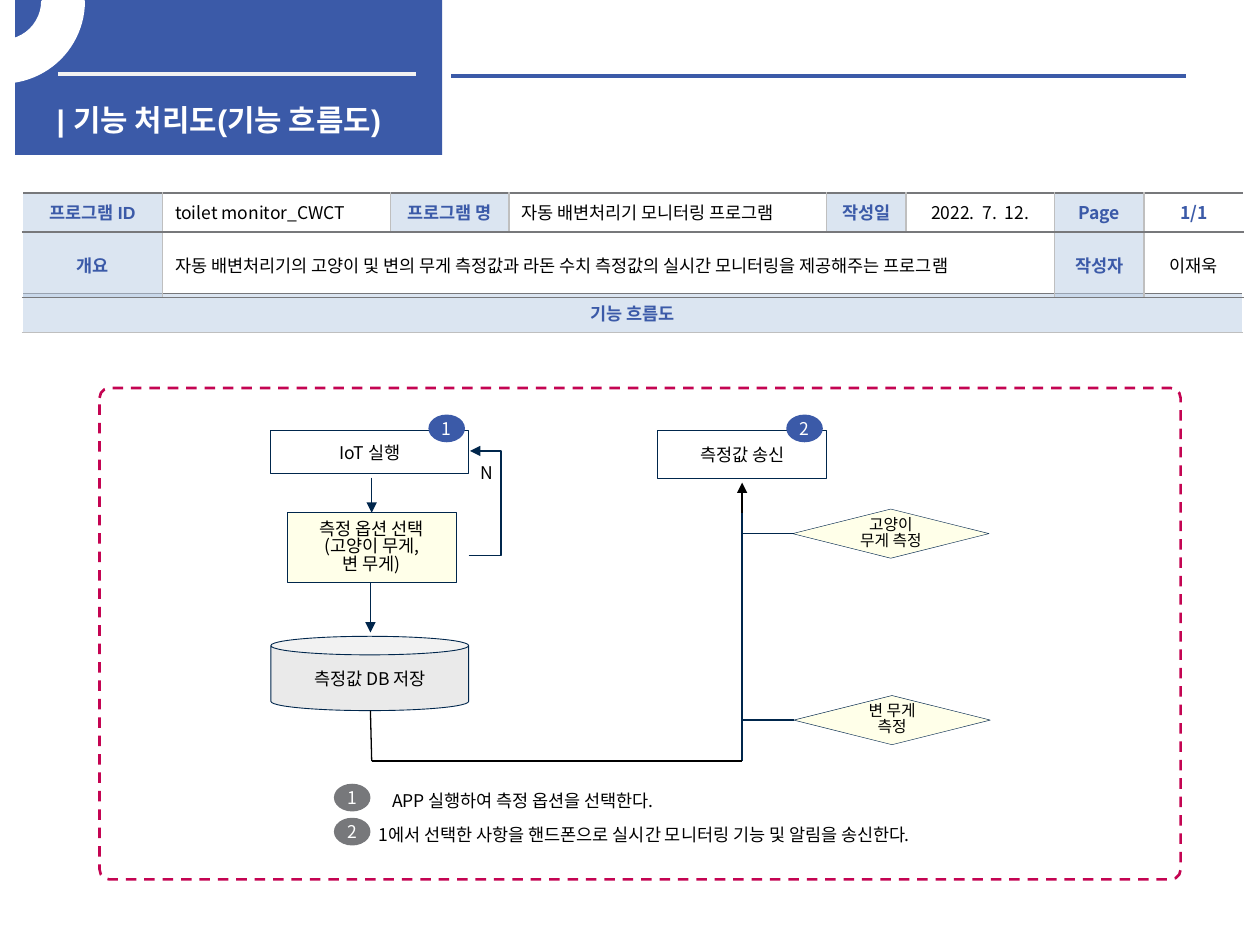
from lxml import etree
from pptx import Presentation
from pptx.dml.color import RGBColor
from pptx.enum.dml import MSO_LINE
from pptx.enum.shapes import MSO_CONNECTOR, MSO_SHAPE
from pptx.enum.text import MSO_ANCHOR, MSO_AUTO_SIZE, PP_ALIGN
from pptx.oxml.ns import qn
from pptx.util import Inches, Pt

RECT, ROUNDED, CAN = MSO_SHAPE.RECTANGLE, MSO_SHAPE.ROUNDED_RECTANGLE, MSO_SHAPE.CAN
DIAMOND, OVAL, ARC = MSO_SHAPE.FLOWCHART_DECISION, MSO_SHAPE.OVAL, MSO_SHAPE.BLOCK_ARC
STRAIGHT, ELBOW = MSO_CONNECTOR.STRAIGHT, MSO_CONNECTOR.ELBOW
LEFT, CENTER = PP_ALIGN.LEFT, PP_ALIGN.CENTER
TOP, MIDDLE = MSO_ANCHOR.TOP, MSO_ANCHOR.MIDDLE
NO_FIT, DASH = MSO_AUTO_SIZE.NONE, MSO_LINE.DASH

BLUE = RGBColor(0x3B, 0x5A, 0xA8)
NAVY = RGBColor(0x00, 0x26, 0x4C)
CRIMSON = RGBColor(0xC4, 0x04, 0x52)
PALE_BLUE = RGBColor(0xB9, 0xCD, 0xE5)
CREAM = RGBColor(0xFF, 0xFF, 0xE9)
LIGHT_GRAY = RGBColor(0xEA, 0xEA, 0xEA)
OFF_WHITE = RGBColor(0xF2, 0xF2, 0xF2)
SILVER = RGBColor(0xBF, 0xBF, 0xBF)
GRAY = RGBColor(0x77, 0x78, 0x7B)
WHITE = RGBColor(0xFF, 0xFF, 0xFF)
BLACK = RGBColor(0, 0, 0)

KOREAN, LATIN = "Noto Sans CJK KR", "Arial"
COLUMNS, ROWS = 100, 75


class FlowSlide:
    def __init__(self, deck):
        self.col = deck.slide_width / COLUMNS
        self.row = deck.slide_height / ROWS
        self.slide = deck.slides.add_slide(deck.slide_layouts[5])
        self.shapes = self.slide.shapes

    def place(self, x, y, width, height):
        return (round(x * self.col), round(y * self.row),
                round(width * self.col), round(height * self.row))

    def fill_text(self, frame, text, size=10, color=BLACK, bold=False, align=CENTER,
                  font=KOREAN, spacing=None):
        frame.text = text
        for paragraph in frame.paragraphs:
            paragraph.alignment = align
            if spacing:
                paragraph.line_spacing = spacing
            for run in paragraph.runs:
                run.font.name, run.font.size, run.font.bold = font, Pt(size), bold
                run.font.color.rgb = color
                etree.SubElement(run.font._element, qn("a:ea"), typeface=KOREAN)

    def title(self, text, box):
        title = self.shapes.title
        title.left, title.top, title.width, title.height = self.place(*box)
        self.shapes._spTree.append(title._element)
        frame = title.text_frame
        frame.word_wrap, frame.auto_size, frame.vertical_anchor = False, NO_FIT, TOP
        self.fill_text(frame, text, 17, WHITE, True, LEFT, LATIN)

    def block(self, kind, box, fill=None, line=None, weight=0.5, text="",
              inset=0.04, wrap=True, adjust=(), **style):
        block = self.shapes.add_shape(kind, *self.place(*box))
        block.shadow.inherit = False
        for index, value in enumerate(adjust):
            block.adjustments[index] = value
        if fill is None:
            block.fill.background()
        else:
            block.fill.solid()
            block.fill.fore_color.rgb = fill
        if line is None:
            block.line.fill.background()
        else:
            block.line.color.rgb, block.line.width = line, Pt(weight)
        if text:
            frame = block.text_frame
            frame.margin_left = frame.margin_right = Inches(inset)
            frame.margin_top = frame.margin_bottom = Inches(0.04)
            frame.word_wrap, frame.vertical_anchor = wrap, MIDDLE
            self.fill_text(frame, text, **style)
        return block

    def badge(self, number, x, y, fill):
        self.block(OVAL, (x, y, 2.9, 2.2), fill, text=number, inset=0.06,
                   wrap=False, color=WHITE)

    def label(self, text, box, **style):
        label = self.shapes.add_textbox(*self.place(*box))
        label.text_frame.word_wrap = False
        self.fill_text(label.text_frame, text, **style)

    def link(self, start, end, color=NAVY, weight=0.75, arrow=False, bend=None):
        link = self.shapes.add_connector(
            ELBOW if bend else STRAIGHT, *self.place(*start, *end))
        link.line.color.rgb, link.line.width = color, Pt(weight)
        properties = link._element.spPr
        if bend:
            guides = properties.find(qn("a:prstGeom")).get_or_add_avLst()
            etree.SubElement(guides, qn("a:gd"), name="adj1", fmla=f"val {bend}")
        if arrow:
            etree.SubElement(link.line._get_or_add_ln(), qn("a:tailEnd"), type="triangle")
        etree.SubElement(properties, qn("a:effectLst"))

    def table(self, x, y, widths, heights):
        frame = self.shapes.add_table(
            len(heights), len(widths), *self.place(x, y, sum(widths), sum(heights)))
        table = frame.table
        table.first_row = table.horz_banding = False
        for column, width in zip(table.columns, widths):
            column.width = round(width * self.col)
        for row, height in zip(table.rows, heights):
            row.height = round(height * self.row)
        return table

    def cell(self, cell, text="", borders=(), tint=None, **style):
        cell.vertical_anchor = MIDDLE
        if tint is None:
            cell.fill.background()
        else:
            cell.fill.solid()
            cell.fill.fore_color.rgb = tint
            for color in cell._tc.tcPr.iter(qn("a:srgbClr")):
                etree.SubElement(color, qn("a:alpha"), val="50000")
        for index, (side, color) in enumerate(zip("LRTB", borders)):
            edge = etree.Element(qn(f"a:ln{side}"), w=str(Pt(1)))
            if color is None:
                etree.SubElement(edge, qn("a:noFill"))
            else:
                paint = etree.SubElement(edge, qn("a:solidFill"))
                etree.SubElement(paint, qn("a:srgbClr"), val=str(color))
            cell._tc.tcPr.insert(index, edge)
        if text:
            self.fill_text(cell.text_frame, text, **style)


def draw_header(page):
    page.block(RECT, (1.2, 0, 33.9, 12.3), BLUE)
    page.link((4.6, 5.9), (33, 5.9), OFF_WHITE, 2.25)
    page.link((35.8, 6), (94.1, 6), BLUE, 2.25)
    page.title("| 기능 처리도(기능 흐름도)", (3.5, 7.6, 30.7, 3.2))
    ring = page.block(ARC, (-6.3, -6.3, 12.9, 12.8), WHITE, WHITE, 2,
                      adjust=(96.95, 0, 0.25))
    ring._element.spPr.find(qn("a:xfrm")).set("flipV", "1")


def draw_section(page):
    section = page.table(1.8, 23.3, [96.8], [3.1, 41.5])
    page.cell(section.cell(0, 0), "기능 흐름도", (WHITE, WHITE, GRAY, SILVER),
              PALE_BLUE, color=BLUE, bold=True)
    page.cell(section.cell(1, 0), borders=(WHITE, WHITE, SILVER, None))


def draw_program_info(page):
    heading = dict(tint=PALE_BLUE, color=BLUE, bold=True)
    entry = dict(align=LEFT)
    contents = [
        [("프로그램 ID", dict(heading, font=LATIN)), ("toilet monitor_CWCT", entry),
         ("프로그램 명", heading), ("자동 배변처리기 모니터링 프로그램", entry),
         ("작성일", heading), ("2022.  7.  12.", dict(tint=WHITE)),
         ("Page", heading), ("1/1", dict(color=BLUE, bold=True))],
        [("개요", dict(heading, font=LATIN)),
         ("자동 배변처리기의 고양이 및 변의 무게 측정값과 라돈 수치 측정값의 "
          "실시간 모니터링을 제공해주는 프로그램", entry),
         *[("", {})] * 4, ("작성자", heading), ("이재욱", {})],
    ]
    widths = [11.1, 18.1, 9.4, 25.2, 6.3, 11.8, 7.1, 7.9]
    info = page.table(1.8, 15.3, widths, [3.1, 5.2])
    info.cell(1, 1).merge(info.cell(1, 5))
    last = len(widths) - 1
    for r, entries in enumerate(contents):
        for c, (text, style) in enumerate(entries):
            borders = (SILVER if c else WHITE, SILVER if c < last else WHITE, GRAY, GRAY)
            page.cell(info.cell(r, c), text, borders, **style)


def draw_flow(page):
    frame = page.block(ROUNDED, (7.9, 30.8, 85.8, 39), line=CRIMSON, weight=1.5,
                       adjust=(0.02,))
    frame.line.dash_style = DASH
    page.block(RECT, (21.5, 34.2, 15.7, 3.4), line=NAVY, text="IoT 실행")
    page.block(CAN, (21.5, 50.5, 15.7, 5.9), LIGHT_GRAY, NAVY, text="측정값 DB 저장",
               adjust=(0.25,))
    page.block(RECT, (52.2, 34.2, 13.4, 3.8), line=NAVY, text="측정값 송신")
    page.block(RECT, (22.8, 40.7, 13.4, 5.5), CREAM, NAVY, spacing=0.83,
               text="측정 옵션 선택\n(고양이 무게,\n변 무게)")
    for text, x, y in (("고양이 무게 측정", 62.9, 40.4), ("변 무게 측정", 63, 55.2)):
        page.block(DIAMOND, (x, y, 15.6, 3.9), CREAM, NAVY, 0.25, text, 0.1,
                   size=9, spacing=0.83)
        page.link((58.9, y + 1.95), (x, y + 1.95))

    page.link((29.5, 37.9), (29.5, 40.7), arrow=True)
    page.link((29.4, 46.3), (29.4, 50.2), arrow=True)
    page.link((37.2, 44.1), (37.3, 35.8), arrow=True, bend=2600000)
    page.label("N", (37.1, 36.2, 3.1, 2.7))
    page.link((58.9, 60.4), (58.9, 40.6))
    page.link((58.9, 40.7), (58.9, 38.3), BLACK, arrow=True)
    page.link((58.9, 60.4), (29.5, 60.4), BLACK)
    page.link((29.5, 60.4), (29.4, 56.4), BLACK)

    page.badge("1", 34, 32.9, BLUE)
    page.badge("2", 62.4, 32.9, BLUE)
    page.badge("1", 26.5, 62.2, GRAY)
    page.badge("2", 26.5, 64.9, GRAY)
    page.label("APP 실행하여 측정 옵션을 선택한다.", (28.7, 61.9, 25.6, 2.8), spacing=1.2)
    page.label("1에서 선택한 사항을 핸드폰으로 실시간 모니터링 기능 및 알림을 송신한다.",
               (29.1, 64.6, 49.3, 2.8), align=LEFT, spacing=1.2)


def main():
    deck = Presentation()
    deck.slide_width, deck.slide_height = Inches(10), Inches(7.5)
    page = FlowSlide(deck)
    draw_header(page)
    draw_section(page)
    draw_program_info(page)
    draw_flow(page)
    deck.save("out.pptx")


if __name__ == "__main__":
    main()
